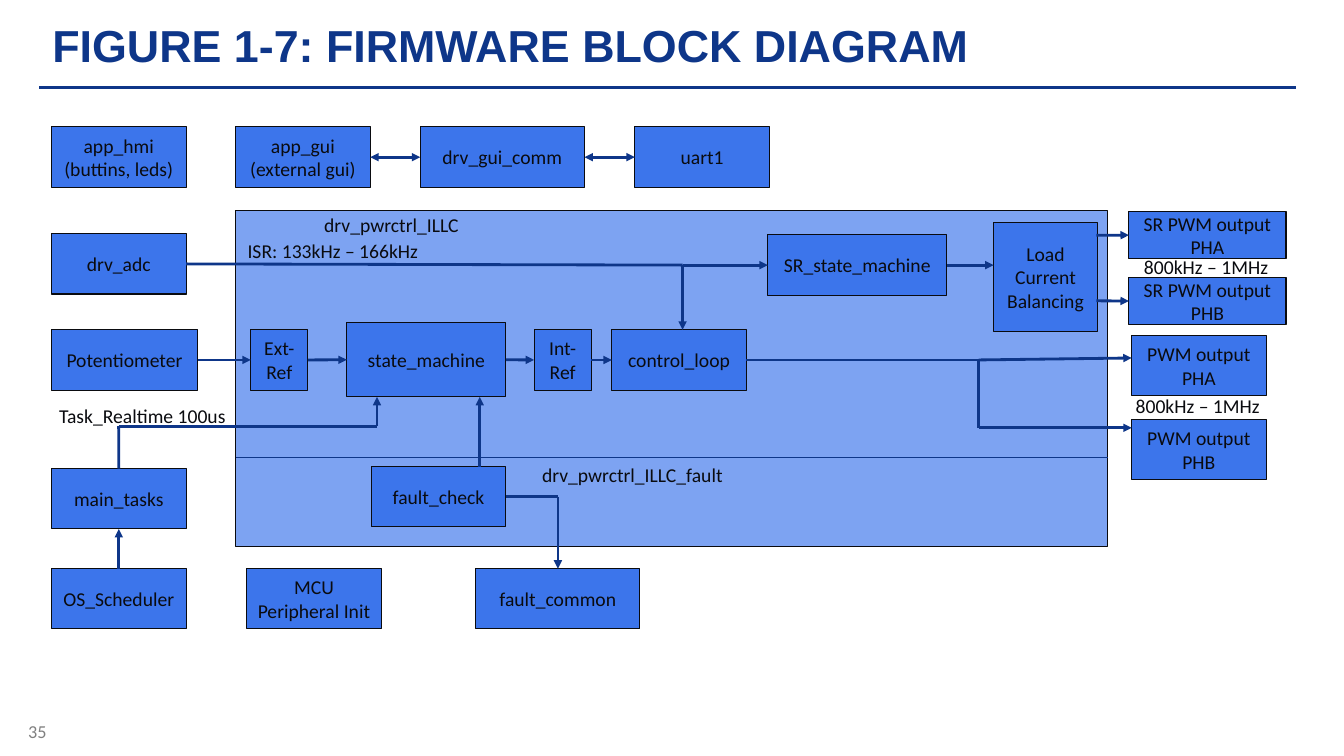
from dataclasses import dataclass

from lxml.etree import SubElement
from pptx import Presentation
from pptx.dml.color import RGBColor
from pptx.enum.shapes import MSO_CONNECTOR, MSO_SHAPE
from pptx.enum.text import MSO_ANCHOR, PP_ALIGN
from pptx.oxml.ns import qn
from pptx.util import Cm, Pt

NAVY = RGBColor(0x0E, 0x36, 0x89)
BLUE = RGBColor(0x3C, 0x75, 0xEB)
LIGHT_BLUE = RGBColor(0x7D, 0xA3, 0xF2)
INK = RGBColor(0x0A, 0x0B, 0x0F)
GRAY = RGBColor(0x80, 0x80, 0x80)

TOP, LEFT, BOTTOM, RIGHT = range(4)


@dataclass
class Block:
    text: str
    x: float
    y: float
    w: float = 3.39
    h: float = 1.52
    fill: RGBColor = BLUE


@dataclass
class Label:
    text: str
    x: float
    y: float
    w: float
    h: float = 0.86
    size: float = 14
    font: str = "Calibri"
    color: RGBColor = INK
    bold: bool = False
    wrap: bool = False


@dataclass
class Link:
    """Each end is a point (x, y) or a block's text with a side."""
    begin: tuple
    end: tuple
    arrows: str = ""
    width: float = 2


PANEL = Block("", 5.94, 5.31, 21.97, 8.46, LIGHT_BLUE)
PANEL_RIGHT = PANEL.x + PANEL.w
DIVIDER_Y = 11.53
COL, ROW_TOP, ROW_REF, ROW_BOTTOM = 1.3, 3.2, 8.31, 14.33
ISR_X, ISR_Y = 17.2, 6.68
TASK_X, TASK_Y = 9.5, 10.74
FAULT_X, FAULT_Y = 14.06, 12.52
PWM_X, PWM_Y = 24.66, 9.07
PWM_LEFT, SR_LEFT = 28.52, 28.45
PHB_Y = 10.78
BALANCING_RIGHT = 27.63

BLOCKS = [
    PANEL,
    # User interface
    Block("app_hmi\n(buttins, leds)", COL, ROW_TOP),
    Block("app_gui\n(external gui)", PANEL.x, ROW_TOP),
    Block("drv_gui_comm", 10.59, ROW_TOP, 4.14),
    Block("uart1", 16, ROW_TOP),
    # Inputs and tasks
    Block("drv_adc", COL, 5.89),
    Block("Potentiometer", COL, ROW_REF, 3.68),
    Block("main_tasks", COL, 11.81),
    Block("OS_Scheduler", COL, ROW_BOTTOM),
    Block("MCU Peripheral Init", 6.22, ROW_BOTTOM),
    Block("fault_common", 11.99, ROW_BOTTOM, 4.14),
    # Power control
    Block("Ext-Ref", 6.32, ROW_REF, 1.44),
    Block("state_machine", 8.74, 8.13, 4.01, 1.87),
    Block("Int-Ref", 13.46, ROW_REF, 1.44),
    Block("control_loop", 15.42, ROW_REF),
    Block("fault_check", 9.36, 11.76),
    Block("SR_state_machine", 19.35, 5.92, 4.51),
    Block("Load Current Balancing", 25.04, 5.61, 2.62, 2.74),
    # Outputs
    Block("PWM output\nPHA", PWM_LEFT, 8.46),
    Block("PWM output\nPHB", PWM_LEFT, 10.57),
    Block("SR PWM output\nPHA", SR_LEFT, 5.33, 3.96, 1.19),
    Block("SR PWM output\nPHB", SR_LEFT, 6.99, 3.96, 1.19),
]

LINKS = [
    Link((0.99, 2.21), (32.66, 2.21)),
    Link((PANEL.x, DIVIDER_Y), (PANEL_RIGHT, DIVIDER_Y), width=0.25),
    Link(("app_gui\n(external gui)", RIGHT), ("drv_gui_comm", LEFT), "both"),
    Link(("drv_gui_comm", RIGHT), ("uart1", LEFT), "both"),
    # Interrupt path
    Link(("drv_adc", RIGHT), (ISR_X, ISR_Y)),
    Link((ISR_X, ISR_Y), (ISR_X, ROW_REF), "end"),
    Link((ISR_X, ISR_Y), ("SR_state_machine", LEFT), "end"),
    Link(("SR_state_machine", RIGHT), (25.04, ISR_Y), "end"),
    Link((BALANCING_RIGHT, 5.93), ("SR PWM output\nPHA", LEFT), "end"),
    Link((BALANCING_RIGHT, 7.58), ("SR PWM output\nPHB", LEFT), "end"),
    # Reference path
    Link(("Potentiometer", RIGHT), ("Ext-Ref", LEFT), "end"),
    Link(("Ext-Ref", RIGHT), ("state_machine", LEFT), "end"),
    Link(("state_machine", RIGHT), ("Int-Ref", LEFT), "end"),
    Link(("Int-Ref", RIGHT), ("control_loop", LEFT), "end"),
    Link(("control_loop", RIGHT), (PWM_X, PWM_Y)),
    Link((PWM_X, PWM_Y), (PWM_LEFT, 9.02), "end"),
    Link((PWM_X, PWM_Y), (PWM_X, PHB_Y)),
    Link((PWM_X, PHB_Y), (PWM_LEFT, PHB_Y), "end"),
    # Fault path
    Link((12.09, 11.76), (12.09, 10), "end"),
    Link(("fault_check", RIGHT), (FAULT_X, FAULT_Y)),
    Link((FAULT_X, FAULT_Y), ("fault_common", TOP), "end"),
    # Task path
    Link(("OS_Scheduler", TOP), ("main_tasks", BOTTOM), "end"),
    Link(("main_tasks", TOP), (2.99, TASK_Y)),
    Link((2.99, TASK_Y), (TASK_X, TASK_Y)),
    Link((TASK_X, TASK_Y), (TASK_X, 10), "end"),
]

LABELS = [
    Label("FIGURE 1-7: FIRMWARE BLOCK DIAGRAM", 1.07, 0.33, 31.5, 2.16,
          32, "Arial", NAVY, True, True),
    Label("35", 0.46, 18.03, 1.5, 1.02, 13, color=GRAY, wrap=True),
    Label("drv_pwrctrl_ILLC_fault", 13.41, DIVIDER_Y, 5.11),
    Label("drv_pwrctrl_ILLC", 7.92, 5.23, 3.94),
    Label("ISR: 133kHz – 166kHz", 5.99, 5.89, 4.85),
    Label("Task_Realtime 100us", 1.24, 10.06, 4.75),
    Label("800kHz – 1MHz", 28.37, 9.8, 3.66),
    Label("800kHz – 1MHz", 28.58, 6.3, 3.66),
]


def format_text(tf, size: float, font: str, color: RGBColor, bold: bool = False) -> None:
    for p in tf.paragraphs:
        for r in p.runs:
            r.font.size = Pt(size)
            r.font.name = font
            r.font.bold = bold
            r.font.color.rgb = color


def draw_block(slide, block: Block):
    s = slide.shapes.add_shape(MSO_SHAPE.RECTANGLE, Cm(block.x), Cm(block.y),
                               Cm(block.w), Cm(block.h))
    s.shadow.inherit = False
    s.fill.solid()
    s.fill.fore_color.rgb = block.fill
    s.line.color.rgb = INK
    s.line.width = Pt(0.75)
    if block.text:
        tf = s.text_frame
        tf.text = block.text
        tf.word_wrap = True
        tf.vertical_anchor = MSO_ANCHOR.MIDDLE
        for p in tf.paragraphs:
            p.alignment = PP_ALIGN.CENTER
        format_text(tf, 14, "Calibri", INK)
    return s


def draw_link(slide, link: Link, shapes: dict) -> None:
    points = [(0, 0) if isinstance(end[0], str) else end for end in (link.begin, link.end)]
    (x1, y1), (x2, y2) = points
    s = slide.shapes.add_connector(MSO_CONNECTOR.STRAIGHT, Cm(x1), Cm(y1), Cm(x2), Cm(y2))
    for end, connect in ((link.begin, s.begin_connect), (link.end, s.end_connect)):
        if isinstance(end[0], str):
            connect(shapes[end[0]], end[1])
    s.line.color.rgb = NAVY
    s.line.width = Pt(link.width)
    ln = s.line._get_or_add_ln()
    if link.arrows == "both":
        SubElement(ln, qn("a:headEnd"), type="triangle")
    if link.arrows:
        SubElement(ln, qn("a:tailEnd"), type="triangle")
    SubElement(s._element.spPr, qn("a:effectLst"))


def draw_label(slide, label: Label) -> None:
    s = slide.shapes.add_textbox(Cm(label.x), Cm(label.y), Cm(label.w), Cm(label.h))
    tf = s.text_frame
    tf.text = label.text
    tf.word_wrap = label.wrap
    format_text(tf, label.size, label.font, label.color, label.bold)


def main() -> None:
    prs = Presentation()
    prs.slide_width, prs.slide_height = Cm(33.87), Cm(19.05)
    slide = prs.slides.add_slide(prs.slide_layouts[6])
    shapes = {block.text: draw_block(slide, block) for block in BLOCKS}
    for link in LINKS:
        draw_link(slide, link, shapes)
    for label in LABELS:
        draw_label(slide, label)
    prs.save("out.pptx")


if __name__ == "__main__":
    main()
